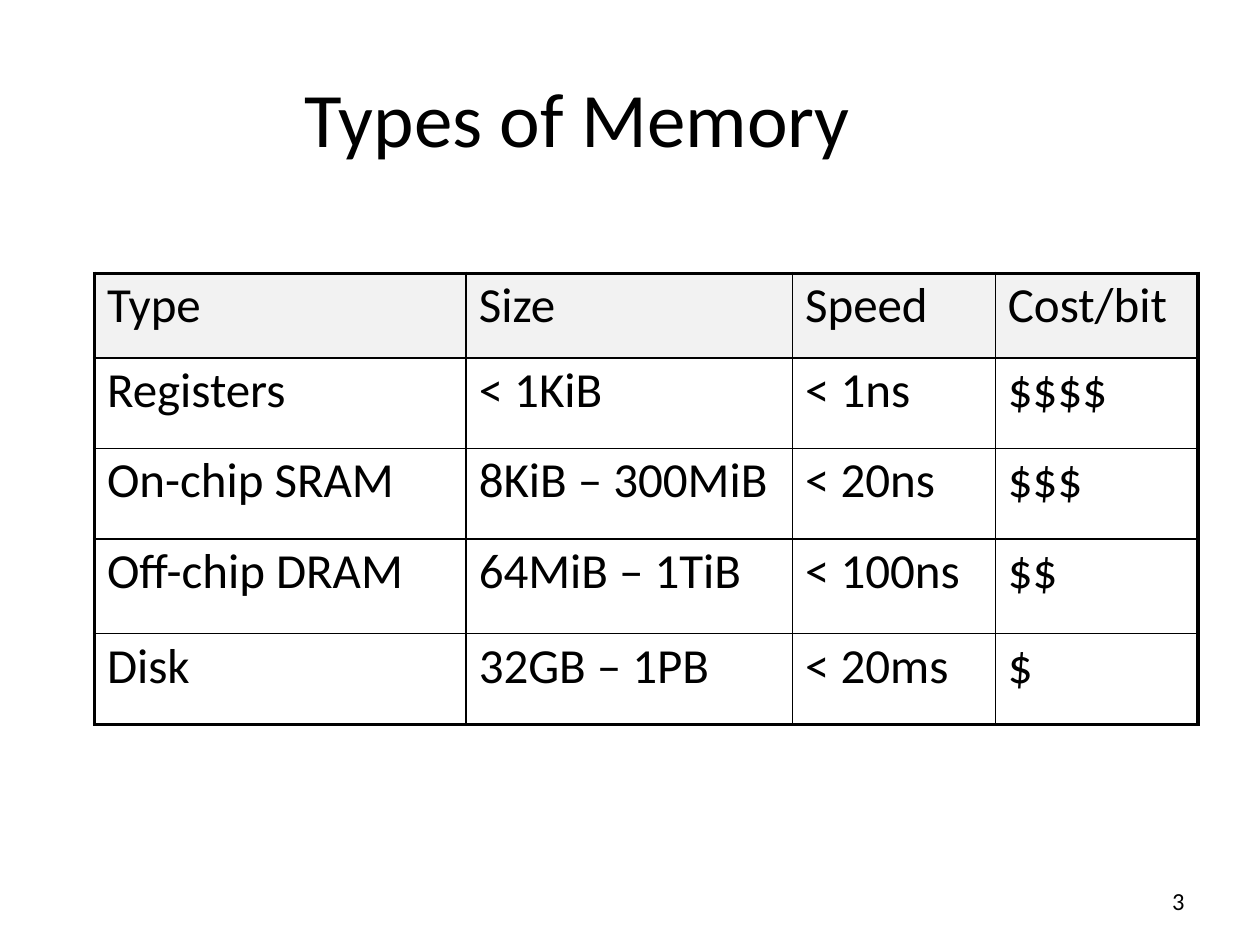
import pptx
import pptx.util
import pptx.dml.color
import pptx.enum.text
import pptx.oxml.ns
from lxml import etree

Inches = pptx.util.Inches
Pt = pptx.util.Pt
RGBColor = pptx.dml.color.RGBColor
ALIGN = pptx.enum.text.PP_ALIGN
BLACK = RGBColor(0, 0, 0)
GRAY = RGBColor(0xF2, 0xF2, 0xF2)
FONT = "Calibri"
THIN, THICK = 1, 2.25

TITLE = "Types of Memory"
NUMBER = "3"
ROWS = [
    ("Type", "Size", "Speed", "Cost/bit"),
    ("Registers", "< 1KiB", "< 1ns", "$$$$"),
    ("On-chip SRAM", "8KiB – 300MiB", "< 20ns", "$$$"),
    ("Off-chip DRAM", "64MiB – 1TiB", "< 100ns", "$$"),
    ("Disk", "32GB – 1PB", "< 20ms", "$"),
]
WIDTHS = [2.95, 2.59, 1.61, 1.61]
HEIGHTS = [0.67, 0.72, 0.72, 0.75, 0.72]


def style(para, size):
    para.font.name = FONT
    para.font.size = Pt(size)
    para.font.color.rgb = BLACK


def add_text(slide, text, box, size, align):
    frame = slide.shapes.add_textbox(*map(Inches, box)).text_frame
    frame.word_wrap = True
    frame.vertical_anchor = pptx.enum.text.MSO_ANCHOR.MIDDLE
    para = frame.paragraphs[0]
    para.text = text
    para.alignment = align
    style(para, size)


def add_edge(cell, side, width):
    qn = pptx.oxml.ns.qn
    props = cell._tc.get_or_add_tcPr()
    line = etree.SubElement(props, qn("a:ln" + side), w=str(Pt(width)))
    fill = etree.SubElement(line, qn("a:solidFill"))
    etree.SubElement(fill, qn("a:srgbClr"), val=str(BLACK))


def add_grid(slide):
    last_row, last_col = len(ROWS) - 1, len(WIDTHS) - 1
    box = (0.75, 2.17, sum(WIDTHS), sum(HEIGHTS))
    table = slide.shapes.add_table(
        len(ROWS), len(WIDTHS), *map(Inches, box)).table
    table.first_row = False
    table.horz_banding = False
    for col, width in zip(table.columns, WIDTHS):
        col.width = Inches(width)
    for row, height in zip(table.rows, HEIGHTS):
        row.height = Inches(height)
    for r, texts in enumerate(ROWS):
        for c, text in enumerate(texts):
            cell = table.cell(r, c)
            para = cell.text_frame.paragraphs[0]
            para.text = text
            para.line_spacing = 0.9
            style(para, 28)
            outer = {"L": c == 0, "R": c == last_col,
                     "T": r == 0, "B": r == last_row}
            for side, edge in outer.items():
                add_edge(cell, side, THICK if edge else THIN)
            if r == 0:
                cell.fill.solid()
                cell.fill.fore_color.rgb = GRAY
            else:
                cell.fill.background()


def main():
    deck = pptx.Presentation()
    deck.slide_width = Inches(10)
    deck.slide_height = Inches(7.5)
    slide = deck.slides.add_slide(deck.slide_layouts[6])
    add_text(slide, TITLE, (0.5, 0.3, 8.17, 1.25), 44, ALIGN.CENTER)
    add_grid(slide)
    add_text(slide, NUMBER, (8.33, 6.95, 1.17, 0.4), 14, ALIGN.RIGHT)
    deck.save("out.pptx")


if __name__ == "__main__":
    main()
